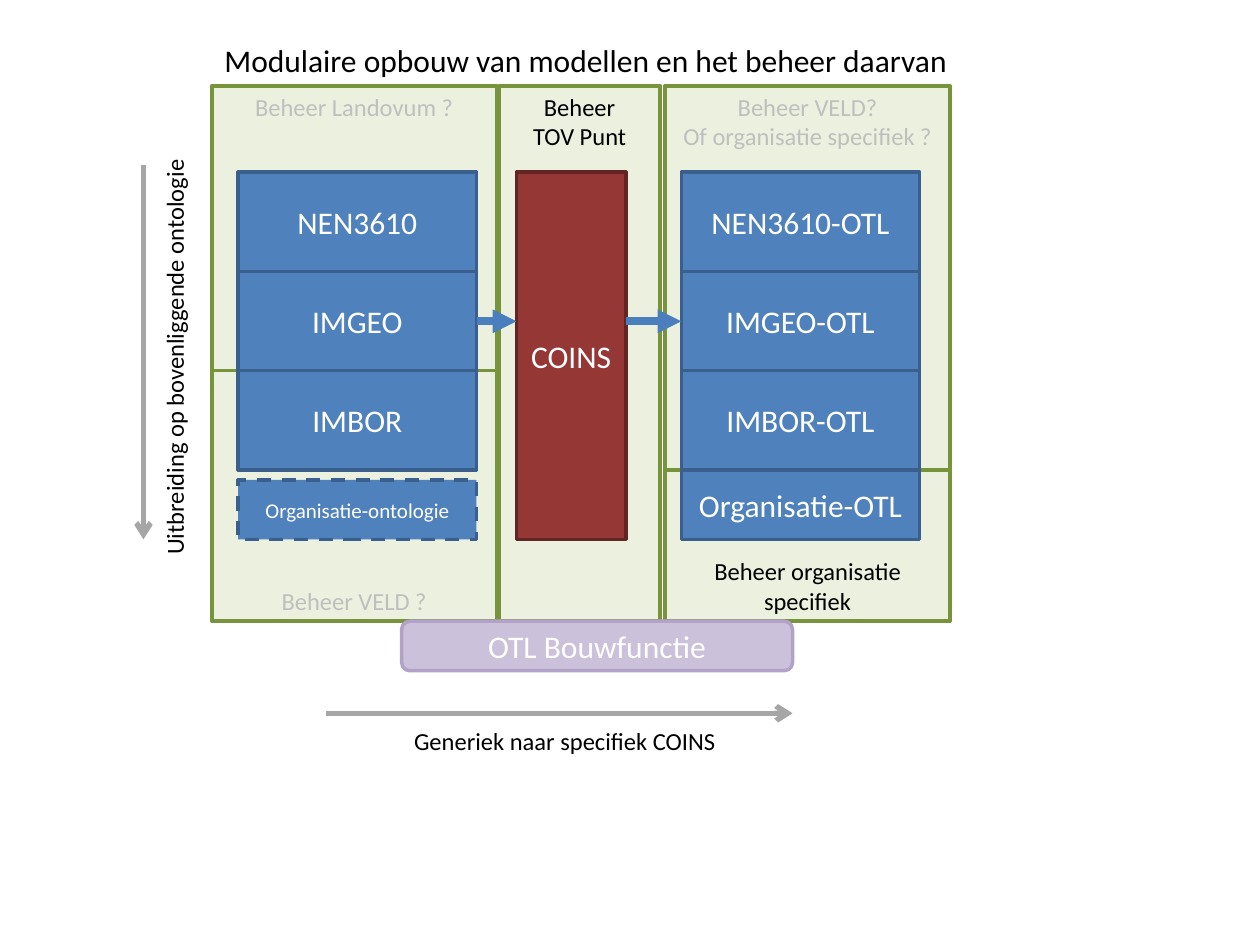
from lxml import etree
from pptx import Presentation
from pptx.dml.color import RGBColor
from pptx.enum.dml import MSO_LINE
from pptx.enum.shapes import MSO_CONNECTOR, MSO_SHAPE
from pptx.enum.text import MSO_ANCHOR, MSO_AUTO_SIZE, PP_ALIGN
from pptx.oxml.ns import qn
from pptx.util import Pt

RECTANGLE, ROUNDED = MSO_SHAPE.RECTANGLE, MSO_SHAPE.ROUNDED_RECTANGLE
TOP, MIDDLE, BOTTOM = MSO_ANCHOR.TOP, MSO_ANCHOR.MIDDLE, MSO_ANCHOR.BOTTOM
LEFT, CENTER = PP_ALIGN.LEFT, PP_ALIGN.CENTER
STRAIGHT, DASH, NO_FIT = MSO_CONNECTOR.STRAIGHT, MSO_LINE.DASH, MSO_AUTO_SIZE.NONE

BLACK, WHITE, PALE, GRAY = "000000", "FFFFFF", "BFBFBF", "A6A6A6"
GREEN = ("EBF1DE", "77933C")
BLUE = ("4F81BD", "3A5F8C")
RED = ("953735", "632523")
PURPLE = ("CCC1DA", "B3A2C7")
ARROW_BLUE = "4B7EBC"

TITLE = "Modulaire opbouw van modellen en het beheer daarvan"
VERTICAL_LABEL = "Uitbreiding op bovenliggende ontologie"
HORIZONTAL_LABEL = "Generiek naar specifiek COINS"
ONTOLOGIES = ["NEN3610", "IMGEO", "IMBOR"]

PANEL_TOP, PANEL_BOTTOM = 49, 355
PANEL_WIDTH, MIDDLE_WIDTH = 162.8, 92.2
LEFT_PANEL, MIDDLE_PANEL, RIGHT_PANEL = 121, 285.1, 380.1
MODULE_TOP, MODULE_HEIGHT, MODULE_WIDTH = 98.4, 56.7, 136.2
MODULE_BOTTOM = 308.2
LEFT_MODULE, RIGHT_MODULE = 136.1, 389.3
COINS_LEFT, COINS_WIDTH = 295.1, 62.6
ROWS = [MODULE_TOP + index * MODULE_HEIGHT for index in range(4)]
FLOW_Y = 183.6

PANELS = [
    (RIGHT_PANEL, ROWS[3], PANEL_WIDTH, PANEL_BOTTOM, "Beheer organisatie specifiek", BLACK, BOTTOM),
    (RIGHT_PANEL, PANEL_TOP, PANEL_WIDTH, ROWS[3], "Beheer VELD?\nOf organisatie specifiek ?", PALE, TOP),
    (MIDDLE_PANEL, PANEL_TOP, MIDDLE_WIDTH, PANEL_BOTTOM, "Beheer\nTOV Punt", BLACK, TOP),
    (LEFT_PANEL, ROWS[2], PANEL_WIDTH, PANEL_BOTTOM, "Beheer VELD ?", PALE, BOTTOM),
    (LEFT_PANEL, PANEL_TOP, PANEL_WIDTH, ROWS[2], "Beheer Landovum ?", PALE, TOP),
]
ARROWS = [
    (LEFT_MODULE + MODULE_WIDTH, FLOW_Y, COINS_LEFT, FLOW_Y, ARROW_BLUE, 4.5, "triangle"),
    (COINS_LEFT + COINS_WIDTH, FLOW_Y, RIGHT_MODULE, FLOW_Y, ARROW_BLUE, 4.5, "triangle"),
    (82, 94.3, 82, MODULE_BOTTOM, GRAY, 3, "arrow"),
    (186.3, 407.6, 452.9, 407.6, GRAY, 3, "arrow"),
]


def color(value):
    return RGBColor.from_string(value)


def write(shape, text, size=18, ink=BLACK, align=LEFT, anchor=TOP, wrap=False):
    frame = shape.text_frame
    frame.auto_size = NO_FIT
    frame.word_wrap = wrap
    frame.vertical_anchor = anchor
    frame.text = text
    for paragraph in frame.paragraphs:
        paragraph.alignment = align
        paragraph.font.name = "Calibri"
        paragraph.font.size = Pt(size)
        paragraph.font.color.rgb = color(ink)


def add_box(left, top, width, bottom, text, colors, kind=RECTANGLE, size=18, ink=WHITE, anchor=MIDDLE):
    shape = slide.shapes.add_shape(kind, Pt(left), Pt(top), Pt(width), Pt(bottom - top))
    shape.shadow.inherit = False
    fill, line = colors
    shape.fill.solid()
    shape.fill.fore_color.rgb = color(fill)
    shape.line.color.rgb = color(line)
    shape.line.width = Pt(2)
    write(shape, text, size=size, ink=ink, align=CENTER, anchor=anchor, wrap=True)
    return shape


def add_arrow(start_x, start_y, end_x, end_y, line_color, width, head):
    connector = slide.shapes.add_connector(STRAIGHT, Pt(start_x), Pt(start_y), Pt(end_x), Pt(end_y))
    connector.line.color.rgb = color(line_color)
    connector.line.width = Pt(width)
    etree.SubElement(connector.line._get_or_add_ln(), qn("a:tailEnd"), type=head)
    etree.SubElement(connector._element.spPr, qn("a:effectLst"))


def add_label(left, top, width, text, rotation=0):
    label = slide.shapes.add_textbox(Pt(left), Pt(top), Pt(width), Pt(24.2))
    label.rotation = rotation
    write(label, text, size=14)


presentation = Presentation()
presentation.slide_width, presentation.slide_height = Pt(720), Pt(540)
slide = presentation.slides.add_slide(presentation.slide_layouts[5])

title = slide.shapes.title
title.left, title.top, title.width, title.height = Pt(121), Pt(19.6), Pt(440), Pt(29)
write(title, TITLE)

for left, top, width, bottom, text, ink, anchor in PANELS:
    add_box(left, top, width, bottom, text, GREEN, size=14, ink=ink, anchor=anchor)

for name, top in zip(ONTOLOGIES, ROWS):
    for left, suffix in ((LEFT_MODULE, ""), (RIGHT_MODULE, "-OTL")):
        add_box(left, top, MODULE_WIDTH, top + MODULE_HEIGHT, name + suffix, BLUE)

add_box(COINS_LEFT, MODULE_TOP, COINS_WIDTH, MODULE_BOTTOM, "COINS", RED)
add_box(RIGHT_MODULE, ROWS[3], MODULE_WIDTH, MODULE_BOTTOM, "Organisatie-OTL", BLUE)
optional = add_box(LEFT_MODULE, 274.3, MODULE_WIDTH, MODULE_BOTTOM, "Organisatie-ontologie", BLUE, size=12)
optional.line.dash_style = DASH

for arrow in ARROWS:
    add_arrow(*arrow)

add_label(-21.6, 190.8, 242.6, VERTICAL_LABEL, rotation=270)
add_label(229.5, 411.3, 188.6, HORIZONTAL_LABEL)
add_box(229.5, PANEL_BOTTOM, 223.4, 383.3, "OTL Bouwfunctie", PURPLE, kind=ROUNDED)

presentation.save("out.pptx")
